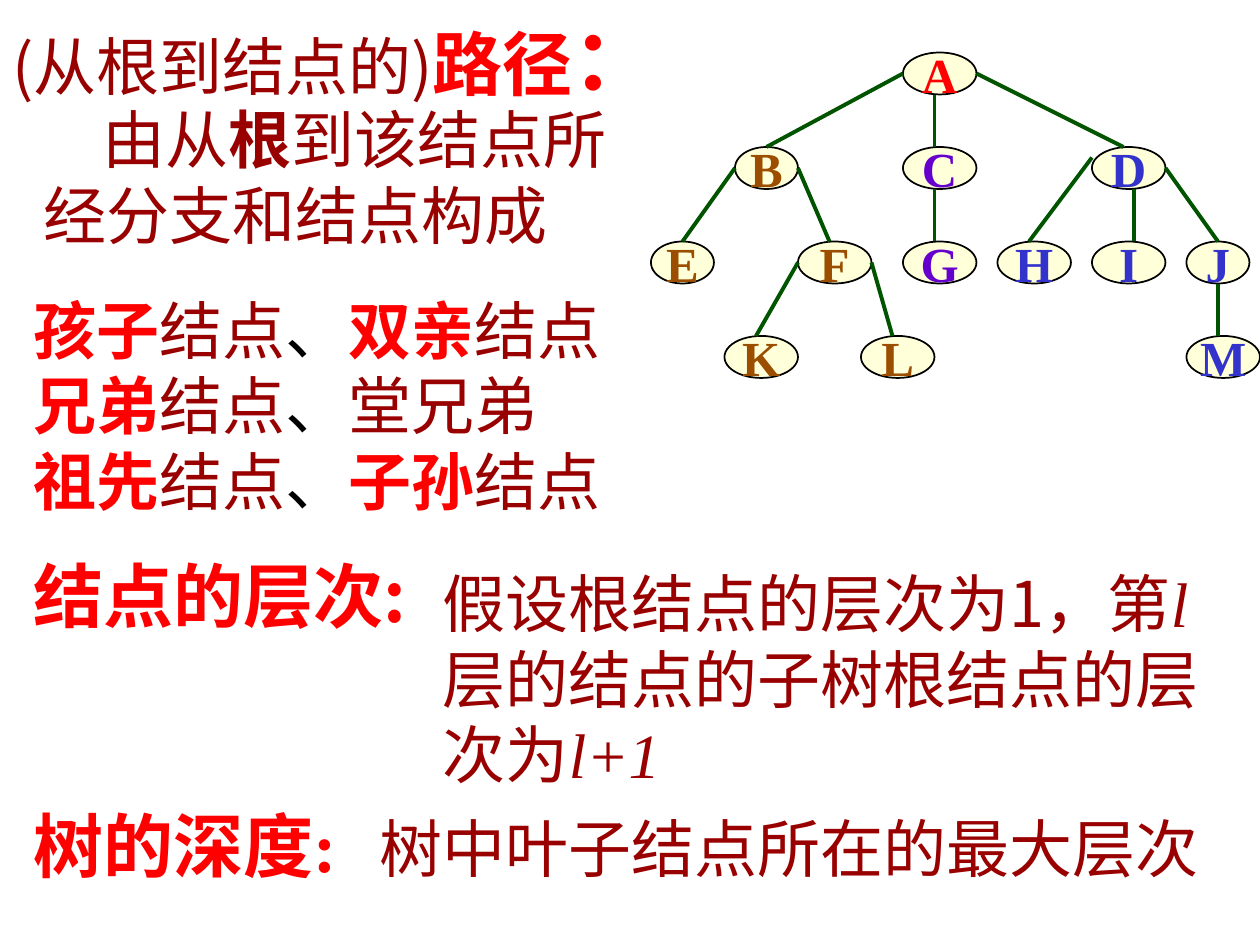
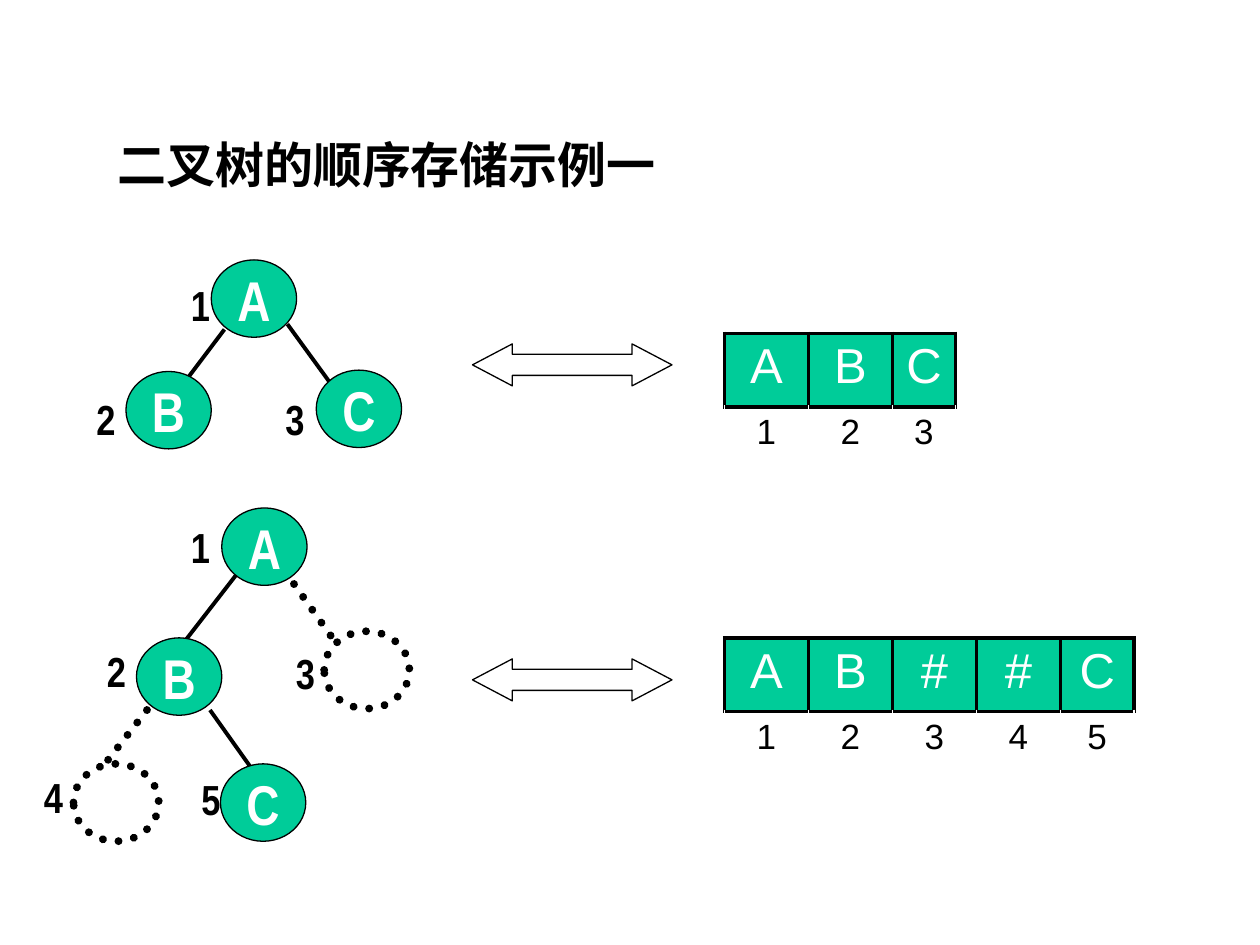
import pptx
import pptx.util
import pptx.dml.color
import pptx.enum.dml
import pptx.enum.shapes
import pptx.enum.text
import pptx.oxml
import pptx.oxml.ns
from lxml import etree

PX = 9525
COLORS = {
    "black": "000000", "white": "FFFFFF", "red": "FF0000", "maroon": "990000",
    "brown": "9C4E00", "violet": "6600CC", "blue": "3333CC", "cream": "FFFFD9",
    "branch": "005400", "teal": "00CC99",
}
CJK, SERIF, SANS, NARROW = "Noto Sans CJK SC", "Times New Roman", "Arial", "Arial Narrow"
SHAPES = pptx.enum.shapes.MSO_SHAPE
CENTER = pptx.enum.text.PP_ALIGN.CENTER
MIDDLE = pptx.enum.text.MSO_ANCHOR.MIDDLE


def px(*lengths):
    return [pptx.util.Emu(n * PX) for n in lengths]


def rgb(name):
    return pptx.dml.color.RGBColor.from_string(COLORS[name])


def add_child(parent, tag, **attrs):
    return etree.SubElement(parent, pptx.oxml.ns.qn(tag), **attrs)


def style(font, size=None, name=None, color=None, bold=None, italic=None):
    if size:
        font.size = pptx.util.Pt(size)
    if color:
        font.color.rgb = rgb(color)
    if bold is not None:
        font.bold = bold
    if italic is not None:
        font.italic = italic
    if name:
        font.name = name
        add_child(font._rPr, "a:ea", typeface=CJK)


def outline(line, color, width, dotted=False):
    line.color.rgb = rgb(color)
    line.width = pptx.util.Pt(width)
    if dotted:
        line.dash_style = pptx.enum.dml.MSO_LINE.ROUND_DOT
        line._ln.set("cap", "rnd")


def add_text(slide, box, paragraphs, size, name=CJK, color="maroon", bold=False,
             wrap=True, pitch=None, indent=0):
    tf = slide.shapes.add_textbox(*px(*box)).text_frame
    tf.word_wrap = wrap
    for i, runs in enumerate(paragraphs):
        p = tf.add_paragraph() if i else tf.paragraphs[0]
        if pitch:
            p.line_spacing = pptx.util.Pt(pitch)
        if indent:
            p._p.get_or_add_pPr().set("indent", str(indent * PX))
        style(p.font, size, name, color, bold)
        for text, changes in runs:
            r = p.add_run()
            r.text = text
            style(r.font, **changes)


def add_preset(slide, kind, box, fill=None, width=1, dotted=False):
    sp = slide.shapes.add_shape(kind, *px(*box))
    sp.shadow.inherit = False
    if fill:
        sp.fill.solid()
        sp.fill.fore_color.rgb = rgb(fill)
    else:
        sp.fill.background()
    outline(sp.line, "black", width, dotted)
    return sp


def add_node(slide, letter, box, fill, width, size, name, color):
    sp = add_preset(slide, SHAPES.OVAL, box, fill, width)
    tf = sp.text_frame
    tf.word_wrap = False
    tf.vertical_anchor = MIDDLE
    p = tf.paragraphs[0]
    p.text = letter
    p.alignment = CENTER
    style(p.font, size, name, color, True)


def add_edge(slide, ends, color, width, dotted=False):
    line = slide.shapes.add_connector(pptx.enum.shapes.MSO_CONNECTOR.STRAIGHT, *px(*ends))
    outline(line.line, color, width, dotted)
    add_child(line._element.spPr, "a:effectLst")


def add_border(cell, sides):
    tcPr = cell._tc.get_or_add_tcPr()
    for i, side in enumerate(sides):
        ln = pptx.oxml.parse_xml(
            f'<a:ln{side} {pptx.oxml.ns.nsdecls("a")} w="28575"><a:solidFill>'
            f'<a:srgbClr val="{COLORS["black"]}"/></a:solidFill></a:ln{side}>')
        tcPr.insert(i, ln)


def add_array(slide, left, top, values, last_width):
    widths = [64] * (len(values) - 1) + [last_width]
    table = slide.shapes.add_table(2, len(values), *px(left, top, sum(widths), 96)).table
    table.first_row = table.horz_banding = False
    for row, height in zip(table.rows, px(56, 40)):
        row.height = height
    for i, (value, width) in enumerate(zip(values, px(*widths))):
        table.columns[i].width = width
        for row, text, size, color in ((0, value, 28, "white"), (1, str(i + 1), 20, "black")):
            cell = table.cell(row, i)
            p = cell.text_frame.paragraphs[0]
            p.text = text
            p.alignment = CENTER
            style(p.runs[0].font, size, SANS, color)
            if row == 0:
                cell.fill.solid()
                cell.fill.fore_color.rgb = rgb("teal")
            else:
                cell.fill.background()
            add_border(cell, "T" if row else "LRTB")


def add_general_tree(slide):
    levels = [
        [("A", 688, 56, "red")],
        [("B", 560, 48, "brown"), ("C", 688, 56, "violet"), ("D", 832, 56, "blue")],
        [("E", 496, 48, "brown"), ("F", 608, 56, "brown"), ("G", 688, 56, "violet"),
         ("H", 760, 56, "blue"), ("I", 832, 56, "blue"), ("J", 904, 48, "blue")],
        [("K", 552, 56, "brown"), ("L", 656, 56, "brown"), ("M", 904, 56, "blue")],
    ]
    for depth, nodes in enumerate(levels):
        for letter, left, width, color in nodes:
            add_node(slide, letter, (left, 40 + 72 * depth, width, 32), "cream", 1, 28, SERIF, color)
    for ends in [
        (688, 56, 584, 112), (712, 72, 712, 112), (744, 56, 856, 112),
        (560, 128, 520, 184), (608, 128, 632, 184), (712, 144, 712, 184),
        (832, 120, 784, 184), (864, 144, 864, 184), (888, 128, 928, 184),
        (608, 200, 576, 256), (664, 200, 680, 256), (928, 216, 928, 256),
    ]:
        add_edge(slide, ends, "branch", 2.25)


def add_binary_tree(slide, nodes, edges, numbers, missing=(), missing_edges=()):
    for ends in edges:
        add_edge(slide, ends, "black", 2.25)
    for letter, left, top in nodes:
        add_node(slide, letter, (left, top, 65, 59), "teal", 0.75, 32, NARROW, "white")
    for left, top in missing:
        add_preset(slide, SHAPES.OVAL, (left, top, 65, 59), None, 4.5, True)
    for ends in missing_edges:
        add_edge(slide, ends, "black", 4.5, True)
    for i, (left, top) in enumerate(numbers, 1):
        add_text(slide, (left, top, 34, 48), [[(str(i), {})]], 24, NARROW, "black", True, False)


def build_terms(slide):
    key = {"color": "red", "bold": True}
    comma = ("、", {"color": "black"})
    node = ("结点", {})
    formula = {"name": SERIF, "italic": True}
    add_text(slide, (0, 0, 520, 86), [[
        ("(从根到结点的)", {}), ("路径", {"size": 40, **key}), ("：", {"size": 48, **key})]], 36)
    add_text(slide, (16, 217, 453, 182), [
        [("孩子", key), node, comma, ("双亲", key), node],
        [("兄弟", key), node, comma, ("堂兄弟", {})],
        [("祖先", key), node, comma, ("子孙", key), node]], 36, wrap=False, pitch=43.3)
    add_text(slide, (16, 416, 315, 74), [[("结点的层次:", {})]], 40, CJK, "red", True, False)
    add_text(slide, (16, 607, 260, 74), [[("树的深度:", {})]], 40, SERIF, "red", True)
    add_text(slide, (24, 72, 456, 125), [[
        ("由从", {}), ("根", {"bold": True}), ("到该结点所经分支和结点构成", {})]],
        36, pitch=43.3, indent=45)
    add_general_tree(slide)
    add_text(slide, (328, 425, 632, 182), [[
        ("假设根结点的层次为1，第", {}), ("l ", formula),
        ("层的结点的子树根结点的层次为", {}), ("l+1", formula)]], 36, pitch=43.3)
    add_text(slide, (280, 612, 643, 67), [[("树中叶子结点所在的最大层次", {})]], 36, SERIF, wrap=False)


def build_storage(slide):
    add_text(slide, (80, 98, 464, 55), [[("二叉树的顺序存储示例一", {})]], 28, CJK, "black", True)
    add_binary_tree(
        slide,
        nodes=[("A", 161, 198), ("B", 96, 283), ("C", 241, 282)],
        edges=[(171, 251, 134, 300), (219, 247, 251, 291)],
        numbers=[(136, 208), (64, 295), (208, 295)])
    add_binary_tree(
        slide,
        nodes=[("A", 169, 387), ("B", 104, 486), ("C", 168, 582)],
        edges=[(180, 438, 142, 487), (160, 541, 192, 586)],
        numbers=[(136, 393), (72, 487), (216, 489), (24, 583), (144, 585)],
        missing=[(247, 481), (56, 582)],
        missing_edges=[(224, 445, 256, 490), (112, 541, 80, 582)])
    for top in (262, 502):
        sp = add_preset(slide, SHAPES.LEFT_RIGHT_ARROW, (360, top, 152, 32), None, 0.75)
        sp.adjustments[0], sp.adjustments[1] = 0.5, 0.95
    add_array(slide, 552, 254, "ABC", 48)
    add_array(slide, 552, 486, "AB##C", 56)


def main():
    prs = pptx.Presentation()
    prs.slide_width, prs.slide_height = px(960, 720)
    for build in (build_terms, build_storage):
        build(prs.slides.add_slide(prs.slide_layouts[6]))
    prs.save("out.pptx")


if __name__ == "__main__":
    main()
